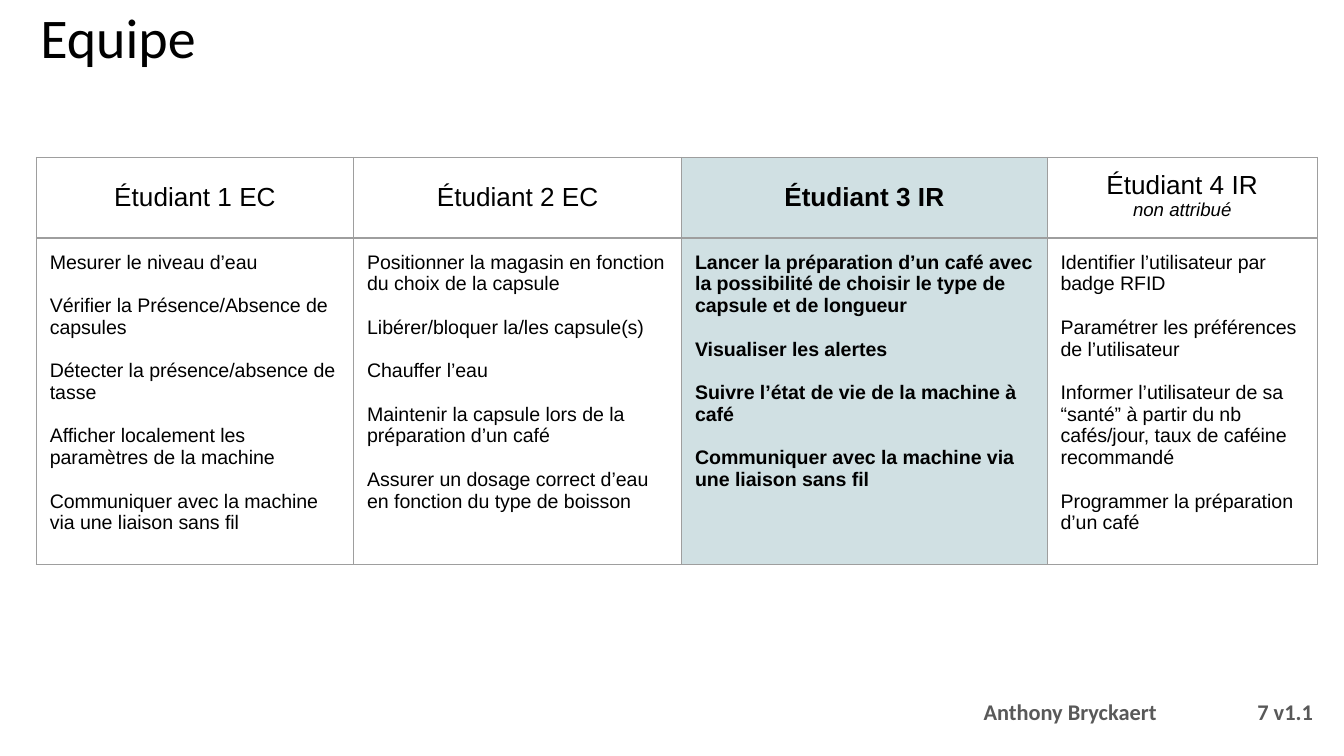
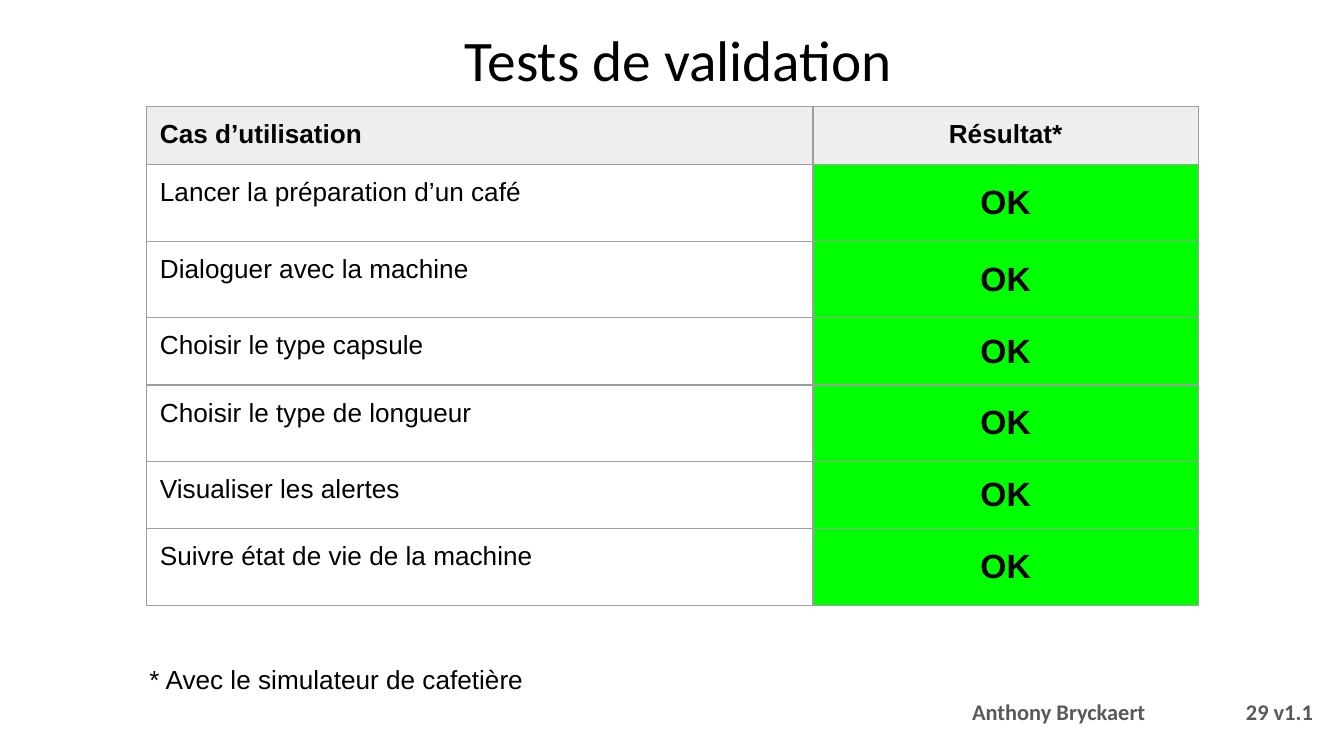
import pptx
import pptx.dml.color
import pptx.enum.text
import pptx.oxml
import pptx.oxml.ns
import pptx.util

Pt = pptx.util.Pt
ALIGN = pptx.enum.text.PP_ALIGN
ANCHOR = pptx.enum.text.MSO_ANCHOR
FIT = pptx.enum.text.MSO_AUTO_SIZE

BLACK, GRAY, BORDER = "000000", "595959", "9E9E9E"
HIGHLIGHT, HEADER, PASSED = "D0E0E3", "EEEEEE", "00FF00"
INSET = 7.2


def color(value):
    return pptx.dml.color.RGBColor.from_string(value)


def xml(tag, content="", **attributes):
    listed = "".join(f' {name}="{value}"' for name, value in attributes.items())
    return pptx.oxml.parse_xml(
        f'<a:{tag} {pptx.oxml.ns.nsdecls("a")}{listed}>{content}</a:{tag}>')


class Slides:
    """Holds the shared style and the current page."""

    def __init__(self):
        self.deck = pptx.Presentation()
        self.deck.slide_width, self.deck.slide_height = Pt(720), Pt(405)
        self.page = None

    def add_page(self, number):
        self.page = self.deck.slides.add_slide(self.deck.slide_layouts[5])
        # Footer shared by every page
        para = self.text(f"Anthony Bryckaert\t {number} v1.1", 502.5, 367, 208, 31,
                         size=12, font="Calibri", ink=GRAY, bold=True,
                         align=ALIGN.RIGHT, anchor=ANCHOR.MIDDLE, tab=144)
        para.line_spacing = 0.8

    def style(self, para, size, font="Arial", ink=BLACK, bold=False,
              italic=False, align=ALIGN.LEFT):
        para.alignment = align
        para.font.name, para.font.size = font, Pt(size)
        para.font.bold, para.font.italic = bold, italic
        para.font.color.rgb = color(ink)

    def frame(self, frame, anchor):
        frame.word_wrap = True
        frame.vertical_anchor = anchor
        frame.margin_left = frame.margin_right = Pt(INSET)
        frame.margin_top = frame.margin_bottom = Pt(INSET)

    def place(self, shape, left, top, width, height):
        shape.left, shape.top = Pt(left), Pt(top)
        shape.width, shape.height = Pt(width), Pt(height)

    def title(self, text, left, top, width, height, size, align, spacing=1.0):
        box = self.page.shapes.title
        self.place(box, left, top, width, height)
        self.frame(box.text_frame, ANCHOR.TOP)
        box.text_frame.auto_size = FIT.NONE
        box.text_frame.text = text
        para = box.text_frame.paragraphs[0]
        self.style(para, size, "Calibri", align=align)
        para.line_spacing = spacing

    def text(self, text, left, top, width, height, anchor=ANCHOR.TOP, tab=None, **style):
        box = self.page.shapes.add_textbox(Pt(left), Pt(top), Pt(width), Pt(height))
        self.frame(box.text_frame, anchor)
        para = box.text_frame.paragraphs[0]
        para.add_run().text = text
        if tab:
            stop = f'<a:tab pos="{Pt(tab)}" algn="l"/>'
            para._p.get_or_add_pPr().append(xml("tabLst", stop))
        self.style(para, **style)
        return para

    def table(self, left, top, widths, heights):
        grid = self.page.shapes.add_table(len(heights), len(widths), Pt(left), Pt(top),
                                          Pt(sum(widths)), Pt(sum(heights))).table
        grid.first_row = grid.horz_banding = False
        for column, width in zip(grid.columns, widths):
            column.width = Pt(width)
        for row, height in zip(grid.rows, heights):
            row.height = Pt(height)
        return grid

    def cell(self, cell, lines, fill=None, anchor=ANCHOR.TOP, gap=0, **style):
        cell.vertical_anchor = anchor
        cell.margin_left = cell.margin_right = Pt(INSET)
        cell.margin_top = cell.margin_bottom = Pt(INSET)
        for index, line in enumerate(lines):
            frame = cell.text_frame
            para = frame.add_paragraph() if index else frame.paragraphs[0]
            para.add_run().text = line
            self.style(para, **style)
            if index and gap:
                para.space_before = Pt(gap)
        if fill:
            cell.fill.solid()
            cell.fill.fore_color.rgb = color(fill)
        else:
            cell.fill.background()
        # Borders come before the fill in the cell properties
        stroke = f'<a:solidFill><a:srgbClr val="{BORDER}"/></a:solidFill>'
        for index, side in enumerate(("lnL", "lnR", "lnT", "lnB")):
            cell._tc.get_or_add_tcPr().insert(index, xml(side, stroke, w=Pt(0.75)))


TEAM = [
    (["Étudiant 1 EC"],
     ["Mesurer le niveau d’eau",
      "Vérifier la Présence/Absence de capsules",
      "Détecter la présence/absence de tasse",
      "Afficher localement les paramètres de la machine",
      "Communiquer avec la machine via une liaison sans fil"]),
    (["Étudiant 2 EC"],
     ["Positionner la magasin en fonction du choix de la capsule",
      "Libérer/bloquer la/les capsule(s)",
      "Chauffer l’eau",
      "Maintenir la capsule lors de la préparation d’un café",
      "Assurer un dosage correct d’eau en fonction du type de boisson"]),
    (["Étudiant 3 IR"],
     ["Lancer la préparation d’un café avec la possibilité de choisir "
      "le type de capsule et de longueur",
      "Visualiser les alertes",
      "Suivre l’état de vie de la machine à café",
      "Communiquer avec la machine via une liaison sans fil"]),
    (["Étudiant 4 IR", "non attribué"],
     ["Identifier l’utilisateur par badge RFID",
      "Paramétrer les préférences de l’utilisateur",
      "Informer l’utilisateur de sa “santé” à partir du nb cafés/jour, "
      "taux de caféine recommandé",
      "Programmer la préparation d’un café"]),
]
CURRENT_STUDENT = 2

USE_CASES = [
    ("Lancer la préparation d’un café", 41),
    ("Dialoguer avec la machine", 41),
    ("Choisir le type capsule", 36),
    ("Choisir le type de longueur", 41),
    ("Visualiser les alertes", 36),
    ("Suivre état de vie de la machine", 41),
]


def team_page(slides):
    slides.add_page(7)
    slides.title("Equipe", 14.4, -6, 656.5, 51, 30, ALIGN.LEFT)
    grid = slides.table(19.5, 84.3, [170, 175.7, 195.8, 144.7], [41.3, 166])
    for index, (heading, tasks) in enumerate(TEAM):
        current = index == CURRENT_STUDENT
        look = dict(fill=HIGHLIGHT if current else None, bold=current)
        head = grid.cell(0, index)
        slides.cell(head, heading, size=14, align=ALIGN.CENTER,
                    anchor=ANCHOR.TOP if len(heading) > 1 else ANCHOR.MIDDLE, **look)
        for para in head.text_frame.paragraphs[1:]:
            slides.style(para, 10, italic=True, align=ALIGN.CENTER)
        slides.cell(grid.cell(1, index), tasks, size=10.5, gap=11.6, **look)


def tests_page(slides):
    slides.add_page(29)
    slides.title("Tests de validation", 39.6, 0, 648, 52, 30.7, ALIGN.CENTER, 1.15)
    grid = slides.table(78.5, 57, [357, 206.5], [31] + [height for _, height in USE_CASES])
    # Header row
    for index, (heading, align) in enumerate([("Cas d’utilisation", ALIGN.LEFT),
                                              ("Résultat*", ALIGN.CENTER)]):
        slides.cell(grid.cell(0, index), [heading], fill=HEADER, size=14,
                    bold=True, align=align)
    # One row per use case
    for row, (use_case, _) in enumerate(USE_CASES, 1):
        slides.cell(grid.cell(row, 0), [use_case], size=14)
        slides.cell(grid.cell(row, 1), ["OK"], fill=PASSED, size=18, bold=True,
                    align=ALIGN.CENTER, anchor=ANCHOR.MIDDLE)
    slides.text("* Avec le simulateur de cafetière", 73, 348, 320, 31.5, size=14)


def main():
    slides = Slides()
    team_page(slides)
    tests_page(slides)
    slides.deck.save("out.pptx")


if __name__ == "__main__":
    main()
